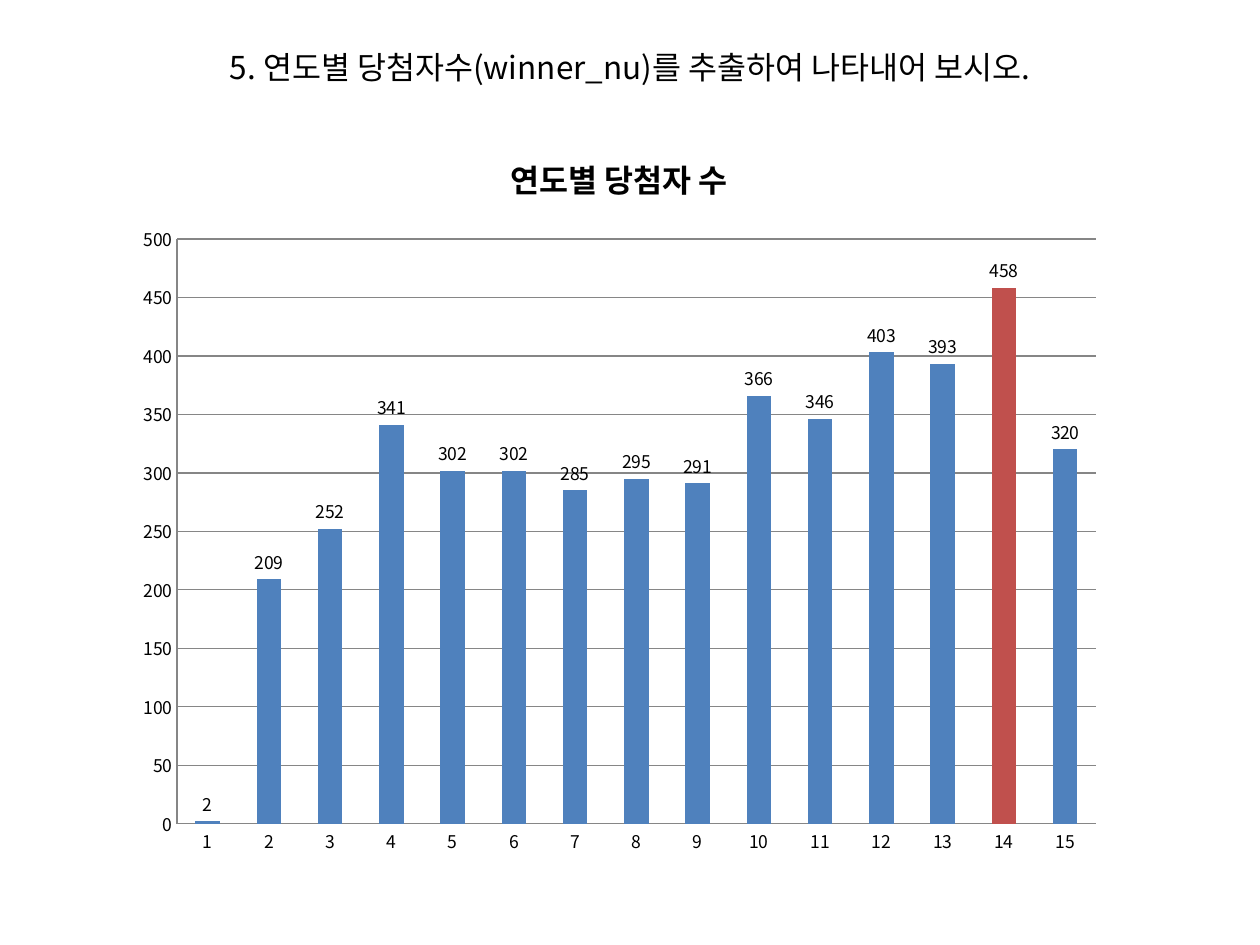
"""Build a slide with a column chart of winners per year."""
from lxml.etree import SubElement
from pptx import Presentation
from pptx.chart.data import CategoryChartData as ChartData
from pptx.dml.color import RGBColor
from pptx.enum.chart import XL_CHART_TYPE as ChartType
from pptx.enum.chart import XL_LABEL_POSITION as LabelPosition
from pptx.enum.chart import XL_TICK_MARK as TickMark
from pptx.enum.text import MSO_ANCHOR as Anchor
from pptx.enum.text import PP_ALIGN as Align
from pptx.oxml import parse_xml
from pptx.oxml.ns import nsdecls, qn
from pptx.util import Emu, Pt

SCALE = 914400 / 126
FONT = "Noto Sans CJK KR"
BLACK, GRAY, BLUE, RED = "000000", "868686", "4F81BD", "C0504D"
WINNERS = [2, 209, 252, 341, 302, 302, 285, 295, 291, 366, 346, 403, 393, 458, 320]
CHART_BOX = (123, 125, 992, 745)
PLOT_BOX = (177, 239, 919, 585)


def px(*lengths):
    """Turn pixels into EMU."""
    return [Emu(round(length * SCALE)) for length in lengths]


def color(value):
    """Return the colour of a hex string."""
    return RGBColor.from_string(value)


def set_font(font, size, bold=False, fill=BLACK):
    """Format a font for Latin and Korean text."""
    font.size, font.bold, font.name = Pt(size), bold, FONT
    font.color.rgb = color(fill)


def add_text(frame, text, size=18, bold=False, fill=BLACK, align=Align.CENTER):
    """Write one formatted paragraph into a text frame."""
    para = frame.paragraphs[0]
    para.alignment = align
    span = para.add_run()
    span.text = text
    set_font(span.font, size, bold, fill)
    SubElement(span.font._element, qn("a:ea"), typeface=FONT)


def add_heading(slide, text, bounds):
    """Add a centred line of text."""
    frame = slide.shapes.add_textbox(*px(*bounds)).text_frame
    frame.word_wrap = True
    frame.vertical_anchor = Anchor.TOP
    add_text(frame, text)


def place_plot(chart):
    """Fix the inner plot area inside the chart."""
    left, top, width, height = CHART_BOX
    plot_left, plot_top, plot_width, plot_height = PLOT_BOX
    shares = {
        "x": (plot_left - left) / width,
        "y": (plot_top - top) / height,
        "w": plot_width / width,
        "h": plot_height / height,
    }
    modes = '<c:layoutTarget val="inner"/><c:xMode val="edge"/><c:yMode val="edge"/>'
    values = "".join(f'<c:{key} val="{share:.4f}"/>' for key, share in shares.items())
    layout = parse_xml(
        f'<c:layout {nsdecls("c")}><c:manualLayout>{modes}{values}</c:manualLayout></c:layout>'
    )
    area = chart._chartSpace.find(".//" + qn("c:plotArea"))
    for old in area.findall(qn("c:layout")):
        area.remove(old)
    area.insert(0, layout)


def style_axis(axis):
    """Give an axis a thin gray line without ticks."""
    axis.major_tick_mark = axis.minor_tick_mark = TickMark.NONE
    axis.format.line.color.rgb = color(GRAY)
    axis.format.line.width = Pt(0.75)
    set_font(axis.tick_labels.font, 10)


def add_winner_chart(slide, title, highlight):
    """Add the column chart with one highlighted column."""
    data = ChartData()
    data.categories = [str(year) for year in range(1, len(WINNERS) + 1)]
    data.add_series("Series 1", WINNERS)
    frame = slide.shapes.add_chart(ChartType.COLUMN_CLUSTERED, *px(*CHART_BOX), data)
    chart = frame.chart
    set_font(chart.font, 10)
    chart.has_legend = False
    chart.has_title = True
    add_text(chart.chart_title.text_frame, title, bold=True)
    chart.chart_title.include_in_layout = False
    style_axis(chart.category_axis)
    scale = chart.value_axis
    style_axis(scale)
    scale.minimum_scale, scale.maximum_scale, scale.major_unit = 0, 500, 50
    scale.has_major_gridlines = True
    scale.major_gridlines.format.line.color.rgb = color(GRAY)
    scale.major_gridlines.format.line.width = Pt(0.75)
    plot = chart.plots[0]
    plot.gap_width = 150
    plot.vary_by_categories = False
    series = plot.series[0]
    series.invert_if_negative = False
    for part, fill in ((series, BLUE), (series.points[highlight], RED)):
        part.format.fill.solid()
        part.format.fill.fore_color.rgb = color(fill)
    labels = series.data_labels
    labels.show_value = True
    labels.position = LabelPosition.OUTSIDE_END
    set_font(labels.font, 10)
    place_plot(chart)


def main():
    """Build and save the deck."""
    deck = Presentation()
    deck.slide_width, deck.slide_height = px(1260, 945)
    page = deck.slides.add_slide(deck.slide_layouts[6])
    add_winner_chart(page, "연도별 당첨자 수", WINNERS.index(max(WINNERS)))
    add_heading(page, "5. 연도별 당첨자수(winner_nu)를 추출하여 나타내어 보시오.", (0, 42, 1260, 50))
    deck.save("out.pptx")


main()
